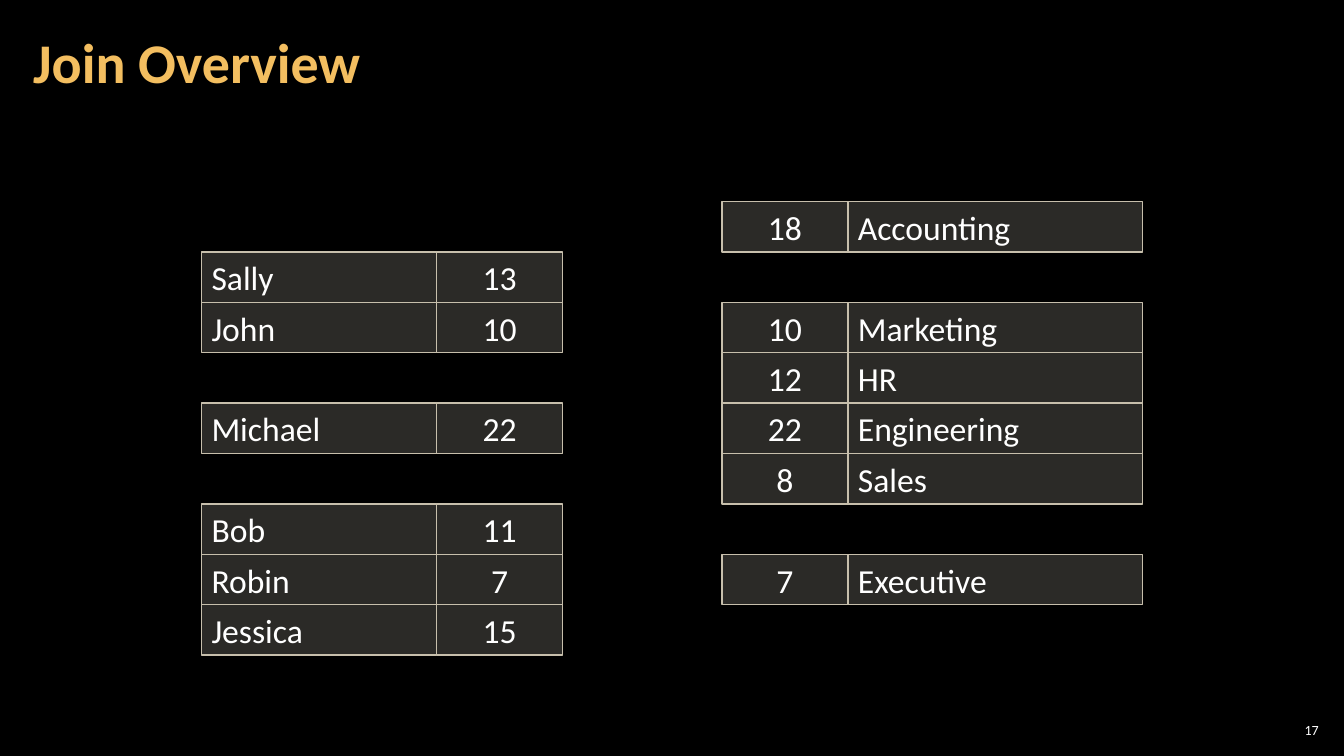
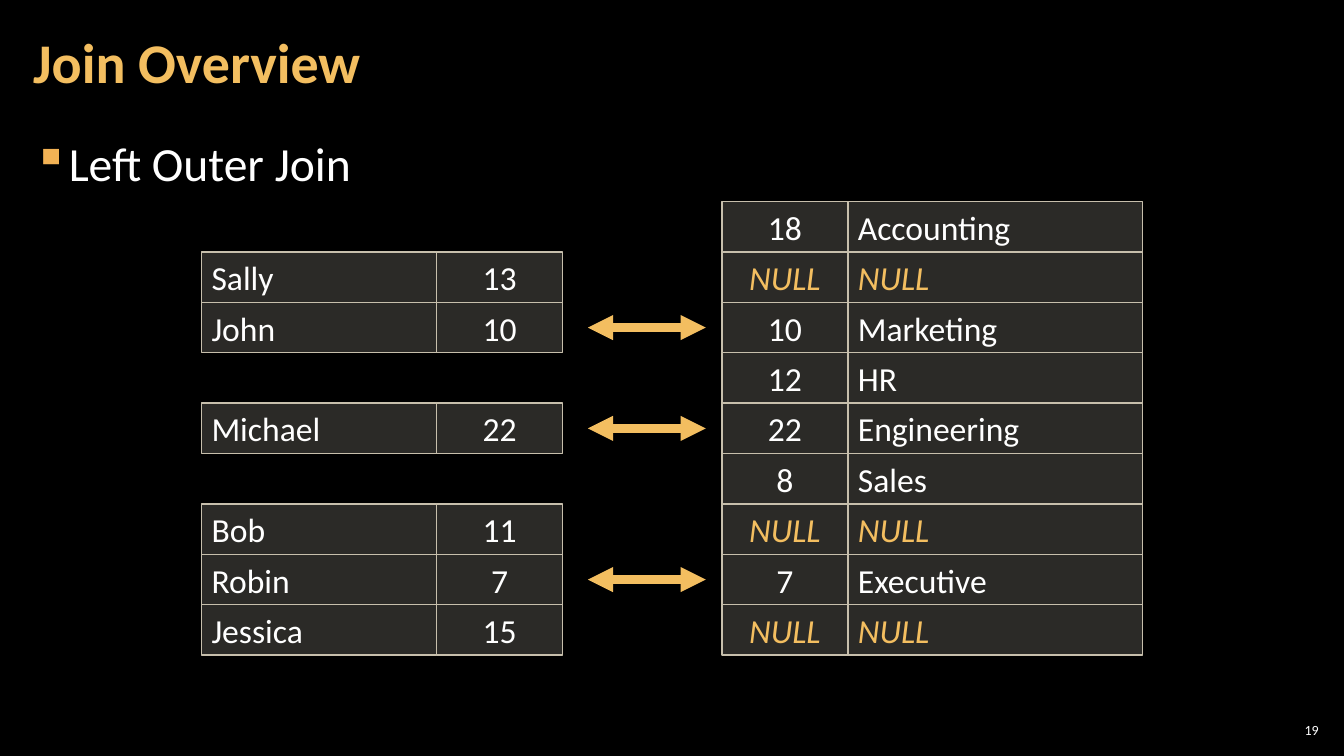
from lxml.etree import SubElement
from pptx import Presentation
from pptx.dml.color import RGBColor
from pptx.enum.shapes import MSO_CONNECTOR as CONNECTOR, MSO_SHAPE as SHAPE
from pptx.enum.text import MSO_ANCHOR as ANCHOR, PP_ALIGN as ALIGN
from pptx.oxml.ns import qn
from pptx.util import Inches, Pt

COLORS = {
    "background": "000000",
    "text": "FFFFFF",
    "accent": "F3BE60",
    "bullet": "F2B254",
    "cell": "D9D5C7",
    "border": "C7BFAC",
}
FONT = "Calibri"
ROW_TOP, ROW_HEIGHT = 2, 0.5
NAME_LEFT, NAME_WIDTH = 2, 2.33
ID_WIDTH = 1.25
DEPARTMENT_LEFT, DEPARTMENT_WIDTH = 7.16, 2.92
ARROW_LEFT, ARROW_RIGHT = 5.83, 7
NULL = "NULL"

EMPLOYEES = {
    1: ("Sally", "13"),
    2: ("John", "10"),
    4: ("Michael", "22"),
    6: ("Bob", "11"),
    7: ("Robin", "7"),
    8: ("Jessica", "15"),
}
DEPARTMENTS = {
    0: ("18", "Accounting"),
    2: ("10", "Marketing"),
    3: ("12", "HR"),
    4: ("22", "Engineering"),
    5: ("8", "Sales"),
    7: ("7", "Executive"),
}


def color(name):
    """Return the named colour of the palette."""
    return RGBColor.from_string(COLORS[name])


def style_paragraph(paragraph, text, size, color_name="text", align=ALIGN.LEFT):
    """Fill a paragraph and set its font and alignment."""
    paragraph.text = text
    paragraph.alignment = align
    font = paragraph.font
    font.name, font.size = FONT, Pt(size)
    font.color.rgb = color(color_name)


def add_text_box(slide, left, top, width, height, side_inset, anchor):
    """Add an empty wrapping text box and return its first paragraph."""
    box = slide.shapes.add_textbox(Inches(left), Inches(top), Inches(width), Inches(height))
    frame = box.text_frame
    frame.word_wrap = True
    frame.vertical_anchor = anchor
    frame.margin_left = frame.margin_right = Inches(side_inset)
    frame.margin_top = frame.margin_bottom = Inches(0.04)
    return frame.paragraphs[0]


def add_joins_slide(presentation, number):
    """Add a slide with the shared title and its slide number."""
    slide = presentation.slides.add_slide(presentation.slide_layouts[6])
    paragraph = add_text_box(slide, 12.65, 7.14, 0.47, 0.21, 0.04, ANCHOR.MIDDLE)
    style_paragraph(paragraph, str(number), 10, align=ALIGN.RIGHT)
    title = add_text_box(slide, 0.21, 0.04, 10.47, 1.21, 0.12, ANCHOR.MIDDLE)
    style_paragraph(title, "Join Overview", 40, "accent")
    title.font.bold = True
    title.line_spacing = 0.9
    return slide


def add_bullet(slide, text):
    """Add the bulleted body line."""
    paragraph = add_text_box(slide, 0.21, 1.26, 12.91, 6.09, 0.12, ANCHOR.TOP)
    properties = paragraph._p.get_or_add_pPr()
    properties.set("marL", str(Inches(0.33)))
    properties.set("indent", str(Inches(-0.33)))
    bullet_color = SubElement(properties, qn("a:buClr"))
    SubElement(bullet_color, qn("a:srgbClr"), val=COLORS["bullet"])
    SubElement(properties, qn("a:buChar"), char="▪")
    style_paragraph(paragraph, text, 34)
    paragraph.line_spacing = 1.05
    paragraph.space_after = Pt(6)


def add_cell(group, left, top, width, text, align):
    """Add one translucent bordered cell to a row group."""
    shape = group.shapes.add_shape(
        SHAPE.RECTANGLE, Inches(left), Inches(top), Inches(width), Inches(ROW_HEIGHT)
    )
    shape.shadow.inherit = False
    shape.fill.solid()
    shape.fill.fore_color.rgb = color("cell")
    fill_color = shape.element.spPr.find(qn("a:solidFill")).find(qn("a:srgbClr"))
    SubElement(fill_color, qn("a:alpha"), val="20000")
    shape.line.color.rgb = color("border")
    shape.line.width = Pt(1)
    shape.text_frame.vertical_anchor = ANCHOR.MIDDLE
    paragraph = shape.text_frame.paragraphs[0]
    is_null = text == NULL
    style_paragraph(paragraph, text, 24, "accent" if is_null else "text", align)
    if is_null:
        paragraph.font.italic = True


def add_rows(slide, rows, left, widths, aligns):
    """Add each record as a group of adjoining cells at its row."""
    for row, texts in sorted(rows.items()):
        group = slide.shapes.add_group_shape()
        cell_left = left
        for text, width, align in zip(texts, widths, aligns):
            add_cell(group, cell_left, ROW_TOP + row * ROW_HEIGHT, width, text, align)
            cell_left += width


def add_relations(slide, departments):
    """Add the employee rows and the given department rows."""
    add_rows(slide, EMPLOYEES, NAME_LEFT, (NAME_WIDTH, ID_WIDTH), (ALIGN.LEFT, ALIGN.CENTER))
    add_rows(
        slide, departments, DEPARTMENT_LEFT,
        (ID_WIDTH, DEPARTMENT_WIDTH), (ALIGN.CENTER, ALIGN.LEFT),
    )


def add_match_arrow(slide, row):
    """Add a double-headed arrow between the matching records of a row."""
    middle = Inches(ROW_TOP + (row + 0.5) * ROW_HEIGHT)
    arrow = slide.shapes.add_connector(
        CONNECTOR.STRAIGHT, Inches(ARROW_LEFT), middle, Inches(ARROW_RIGHT), middle
    )
    arrow.line.color.rgb = color("accent")
    arrow.line.width = Pt(6)
    properties = arrow.element.spPr
    line = properties.find(qn("a:ln"))
    for end in ("a:headEnd", "a:tailEnd"):
        SubElement(line, qn(end), type="triangle")
    SubElement(properties, qn("a:effectLst"))


def build_overview(presentation):
    """Build the slide with the two unjoined relations."""
    slide = add_joins_slide(presentation, 17)
    add_relations(slide, DEPARTMENTS)


def build_left_outer_join(presentation):
    """Build the slide with matches and null records for the rest."""
    slide = add_joins_slide(presentation, 19)
    add_bullet(slide, "Left Outer Join")
    nulls = {row: (NULL, NULL) for row in EMPLOYEES if row not in DEPARTMENTS}
    add_relations(slide, DEPARTMENTS | nulls)
    for row in EMPLOYEES:
        if row in DEPARTMENTS:
            add_match_arrow(slide, row)


def main():
    """Build and save the presentation."""
    presentation = Presentation()
    presentation.slide_width, presentation.slide_height = Inches(13.33), Inches(7.5)
    background = presentation.slide_master.background.fill
    background.solid()
    background.fore_color.rgb = color("background")
    build_overview(presentation)
    build_left_outer_join(presentation)
    presentation.save("out.pptx")


if __name__ == "__main__":
    main()
